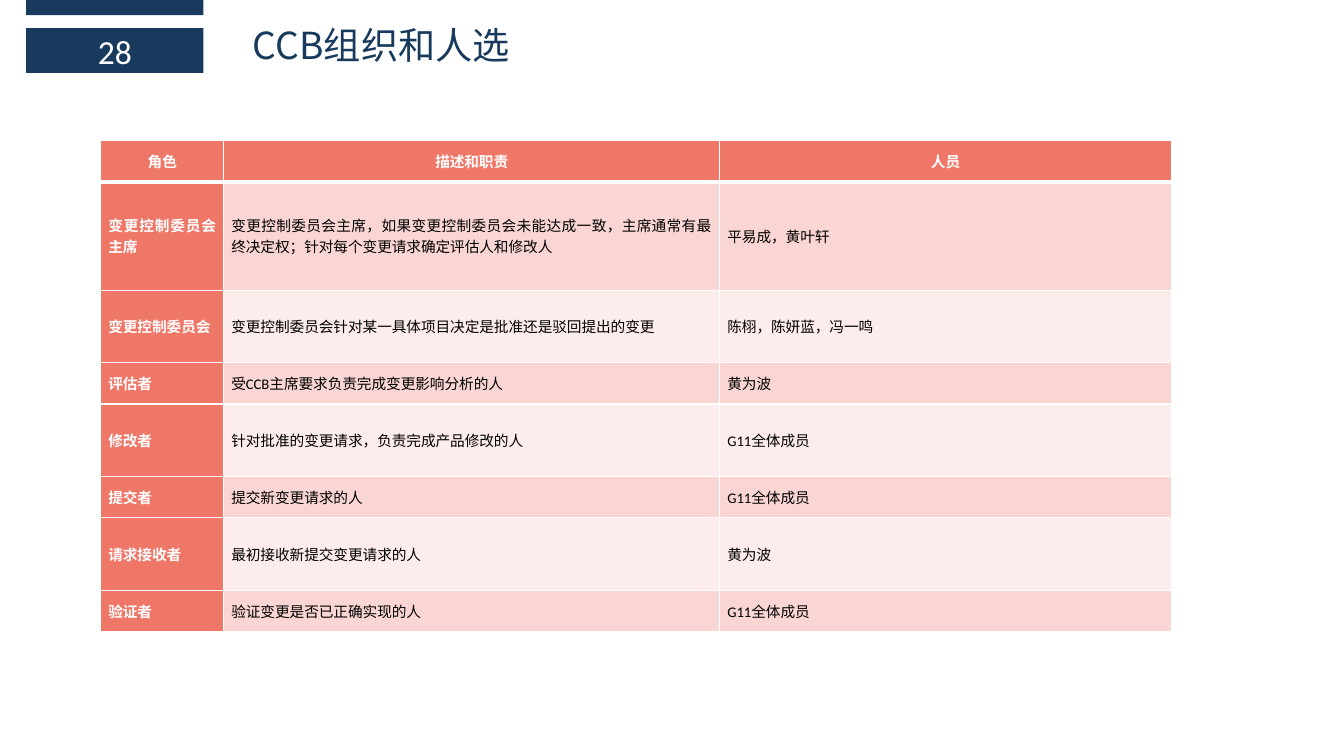
"""Build the slide that lists the CCB roles, their duties and the people chosen."""
import dataclasses

import lxml.etree
import pptx
import pptx.dml.color
import pptx.enum.shapes
import pptx.enum.text
import pptx.oxml.ns
import pptx.util

Cm, Pt = pptx.util.Cm, pptx.util.Pt
Align, Anchor = pptx.enum.text.PP_ALIGN, pptx.enum.text.MSO_ANCHOR

TITLE = "CCB组织和人选"
PAGE_NUMBER = "28"
HEADER = ("角色", "描述和职责", "人员")
ROLES = [
    ("变更控制委员会主席", "变更控制委员会主席，如果变更控制委员会未能达成一致，主席通常有最终决定权；针对每个变更请求确定评估人和修改人", "平易成，黄叶轩"),
    ("变更控制委员会", "变更控制委员会针对某一具体项目决定是批准还是驳回提出的变更", "陈栩，陈妍蓝，冯一鸣"),
    ("评估者", "受CCB主席要求负责完成变更影响分析的人", "黄为波"),
    ("修改者", "针对批准的变更请求，负责完成产品修改的人", "G11全体成员"),
    ("提交者", "提交新变更请求的人", "G11全体成员"),
    ("请求接收者", "最初接收新提交变更请求的人", "黄为波"),
    ("验证者", "验证变更是否已正确实现的人", "G11全体成员"),
]
COLUMN_WIDTHS = (3.1, 12.5, 11.38)
SHORT, MEDIUM, TALL = 1.04, 1.83, 2.73
ROW_HEIGHTS = (SHORT, TALL, MEDIUM, SHORT, MEDIUM, SHORT, MEDIUM, SHORT)


@dataclasses.dataclass(frozen=True)
class Theme:
    navy: str = "183A5D"
    coral: str = "EF7768"
    bands: tuple = ("F9D6D4", "FCECEB")
    white: str = "FFFFFF"
    black: str = "000000"
    latin: str = "Calibri"
    chinese: str = "Noto Sans CJK SC"
    title_size: float = 26.6
    number_size: float = 24
    table_size: float = 10.5
    rule: float = 1
    header_rule: float = 3


THEME = Theme()


def rgb(color):
    return pptx.dml.color.RGBColor.from_string(color)


def write(frame, text, size, color, align, latin=THEME.latin, bold=False):
    paragraph = frame.paragraphs[0]
    paragraph.alignment = align
    run = paragraph.add_run()
    run.text = text
    font = run.font
    font.size, font.bold, font.name = Pt(size), bold, latin
    font.color.rgb = rgb(color)
    east_asian = lxml.etree.SubElement(run._r.get_or_add_rPr(), pptx.oxml.ns.qn("a:ea"))
    east_asian.set("typeface", THEME.chinese)


def add_bar(slide, top, height):
    shape = slide.shapes.add_shape(
        pptx.enum.shapes.MSO_SHAPE.RECTANGLE, Cm(0.66), Cm(top), Cm(4.47), Cm(height))
    shape.shadow.inherit = False
    shape.fill.solid()
    shape.fill.fore_color.rgb = rgb(THEME.navy)
    shape.line.fill.background()
    return shape


def add_border(cell, side, width):
    properties = cell._tc.get_or_add_tcPr()
    line = lxml.etree.SubElement(properties, pptx.oxml.ns.qn(f"a:ln{side}"), w=str(Pt(width)))
    fill = lxml.etree.SubElement(line, pptx.oxml.ns.qn("a:solidFill"))
    lxml.etree.SubElement(fill, pptx.oxml.ns.qn("a:srgbClr"), val=THEME.white)


def format_cell(cell, text, row, column):
    is_header = row == 0
    is_label = is_header or column == 0
    cell.margin_left = cell.margin_right = Cm(0.19)
    cell.margin_top = cell.margin_bottom = 0
    cell.vertical_anchor = Anchor.MIDDLE
    for side in "LRTB":
        meets_header_rule = (row, side) in ((0, "B"), (1, "T"))
        add_border(cell, side, THEME.header_rule if meets_header_rule else THEME.rule)
    cell.fill.solid()
    cell.fill.fore_color.rgb = rgb(THEME.coral if is_label else THEME.bands[(row - 1) % 2])
    write(cell.text_frame, text, THEME.table_size,
          THEME.white if is_label else THEME.black,
          Align.CENTER if is_header else Align.JUSTIFY, bold=is_label)


def add_role_table(slide):
    rows = [HEADER, *ROLES]
    table = slide.shapes.add_table(
        len(rows), len(HEADER), Cm(2.54), Cm(3.54),
        Cm(sum(COLUMN_WIDTHS)), Cm(sum(ROW_HEIGHTS))).table
    for column, width in zip(table.columns, COLUMN_WIDTHS):
        column.width = Cm(width)
    for row, height in zip(table.rows, ROW_HEIGHTS):
        row.height = Cm(height)
    for row, texts in enumerate(rows):
        for column, text in enumerate(texts):
            format_cell(table.cell(row, column), text, row, column)


def add_title(slide):
    title = slide.shapes.title
    title.left, title.top, title.width, title.height = Cm(6.12), Cm(0.43), Cm(16.81), Cm(1.4)
    frame = title.text_frame
    frame.word_wrap = True
    frame.auto_size = pptx.enum.text.MSO_AUTO_SIZE.NONE
    frame.vertical_anchor = Anchor.MIDDLE
    write(frame, TITLE, THEME.title_size, THEME.navy, Align.LEFT, latin=THEME.chinese)


def main():
    presentation = pptx.Presentation()
    presentation.slide_width, presentation.slide_height = Cm(33.87), Cm(19.05)
    slide = presentation.slides.add_slide(presentation.slide_layouts[5])
    add_bar(slide, 0, 0.38)
    number_frame = add_bar(slide, 0.71, 1.13).text_frame
    number_frame.vertical_anchor = Anchor.MIDDLE
    write(number_frame, PAGE_NUMBER, THEME.number_size, THEME.white, Align.CENTER)
    add_title(slide)
    add_role_table(slide)
    presentation.save("out.pptx")


if __name__ == "__main__":
    main()
